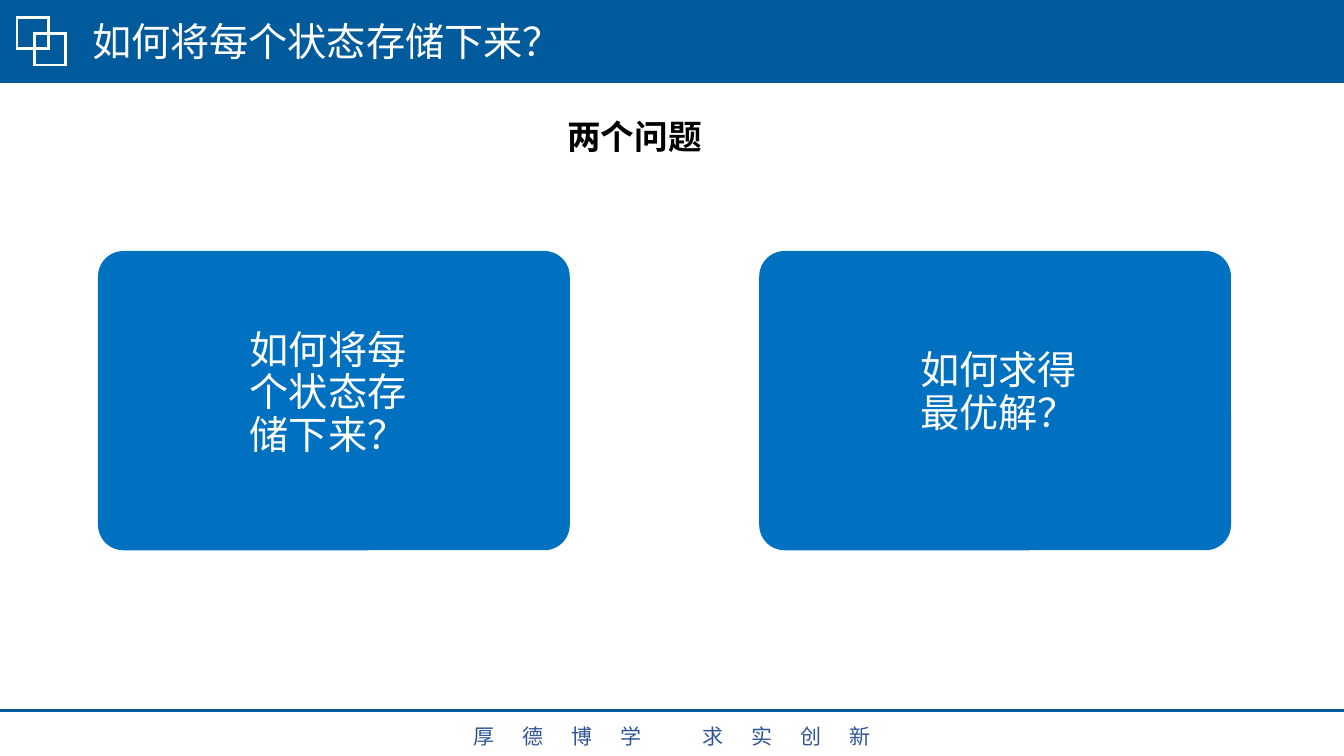
from dataclasses import dataclass

from lxml import etree
from pptx import Presentation
from pptx.dml.color import RGBColor
from pptx.enum.shapes import MSO_CONNECTOR, MSO_SHAPE
from pptx.enum.text import MSO_ANCHOR, PP_ALIGN
from pptx.oxml.ns import qn
from pptx.util import Pt

RECTANGLE, ROUNDED = MSO_SHAPE.RECTANGLE, MSO_SHAPE.ROUNDED_RECTANGLE
STRAIGHT = MSO_CONNECTOR.STRAIGHT
TOP, MIDDLE = MSO_ANCHOR.TOP, MSO_ANCHOR.MIDDLE
LEFT, CENTER = PP_ALIGN.LEFT, PP_ALIGN.CENTER

# Content
TITLE = "如何将每个状态存储下来？"
HEADING = "两个问题"
QUESTIONS = [  # text, left and top of its text area
    ("如何将每个状态存储下来？", 171.2, 232.6),
    ("如何求得最优解？", 650.2, 247),
]
MOTTO = "厚德博学 求实创新"


@dataclass(frozen=True)
class Theme:
    font: str = "Noto Sans CJK SC"
    band: RGBColor = RGBColor(0x00, 0x5A, 0x9C)
    card: RGBColor = RGBColor(0x00, 0x70, 0xC0)
    motto: RGBColor = RGBColor(0x2F, 0x55, 0x97)
    white: RGBColor = RGBColor(0xFF, 0xFF, 0xFF)
    black: RGBColor = RGBColor(0x00, 0x00, 0x00)
    large: float = 28
    medium: float = 24
    small: float = 15


THEME = Theme()
WIDTH, HEIGHT = 960, 540
CARD_LEFT, CARD_TOP, CARD_WIDTH, CARD_HEIGHT = 70, 179.3, 337, 213.8
CARD_STEP = 472.3
QUESTION_WIDTH, QUESTION_HEIGHT = 135.4, 189.4
TIGHT = 0.9


def add_box(slide, kind, box, fill=None, line=None):
    shape = slide.shapes.add_shape(kind, *map(Pt, box))
    shape.shadow.inherit = False
    if fill is None:
        shape.fill.background()
    else:
        shape.fill.solid()
        shape.fill.fore_color.rgb = fill
    if line is None:
        shape.line.fill.background()
    else:
        shape.line.color.rgb = line
        shape.line.width = Pt(2)
        outline = shape.element.spPr.find(qn("a:ln"))
        etree.SubElement(outline, qn("a:miter")).set("lim", "800000")
    return shape


def place(placeholder, box):
    """Move a placeholder to the front and give it a position and size."""
    placeholder.element.getparent().append(placeholder.element)
    placeholder.left, placeholder.top, placeholder.width, placeholder.height = map(Pt, box)


def write(shape, text, size, color, align=LEFT, anchor=TOP, spacing=1.0, bold=False, tracking=0):
    frame = shape.text_frame
    frame.word_wrap = True
    frame.vertical_anchor = anchor
    paragraph = frame.paragraphs[0]
    properties = paragraph._p.get_or_add_pPr()
    properties.set("marL", "0")
    properties.set("indent", "0")
    etree.SubElement(properties, qn("a:buNone"))
    paragraph.alignment = align
    paragraph.line_spacing = spacing
    paragraph.space_before = Pt(0)
    run = paragraph.add_run()
    run.text = text
    run.font.size = Pt(size)
    run.font.bold = bold
    run.font.color.rgb = color
    run.font.name = THEME.font
    run_properties = run._r.get_or_add_rPr()
    etree.SubElement(run_properties, qn("a:ea")).set("typeface", THEME.font)
    if tracking:
        run_properties.set("spc", str(tracking * 100))


def add_frame(slide):
    """Draw the title band, its two overlapping squares and the footer."""
    add_box(slide, RECTANGLE, (0, -0.5, WIDTH, 59.8), fill=THEME.band)
    for left, top in [(12.2, 12.4), (24.6, 24)]:
        add_box(slide, RECTANGLE, (left, top, 22.5, 22.5), line=THEME.white)
    rule = slide.shapes.add_connector(STRAIGHT, Pt(0), Pt(507.6), Pt(WIDTH), Pt(507.6))
    rule.line.color.rgb = THEME.band
    rule.line.width = Pt(2.25)
    etree.SubElement(rule.element.spPr, qn("a:effectLst"))
    motto = slide.shapes.add_textbox(Pt(46), Pt(513), Pt(868), Pt(25.4))
    write(motto, MOTTO, THEME.small, THEME.motto, align=CENTER, tracking=20)


def main():
    presentation = Presentation()
    presentation.slide_width, presentation.slide_height = Pt(WIDTH), Pt(HEIGHT)
    slide = presentation.slides.add_slide(presentation.slide_layouts.get_by_name("Two Content"))
    title, *bodies = slide.placeholders

    add_frame(slide)
    place(title, (58.6, 14.4, 828, 33.1))
    write(title, TITLE, THEME.large, THEME.white, anchor=MIDDLE, spacing=TIGHT)

    heading = slide.shapes.add_textbox(Pt(121), Pt(79.2), Pt(664.6), Pt(36))
    write(heading, HEADING, THEME.medium, THEME.black, align=CENTER, bold=True)

    for index, (body, (question, left, top)) in enumerate(zip(bodies, QUESTIONS)):
        card_left = CARD_LEFT + index * CARD_STEP
        card = add_box(slide, ROUNDED, (card_left, CARD_TOP, CARD_WIDTH, CARD_HEIGHT), fill=THEME.card)
        card.adjustments[0] = 0.085
        place(body, (left, top, QUESTION_WIDTH, QUESTION_HEIGHT))
        write(body, question, THEME.large, THEME.white, spacing=TIGHT)

    presentation.save("out.pptx")


if __name__ == "__main__":
    main()
